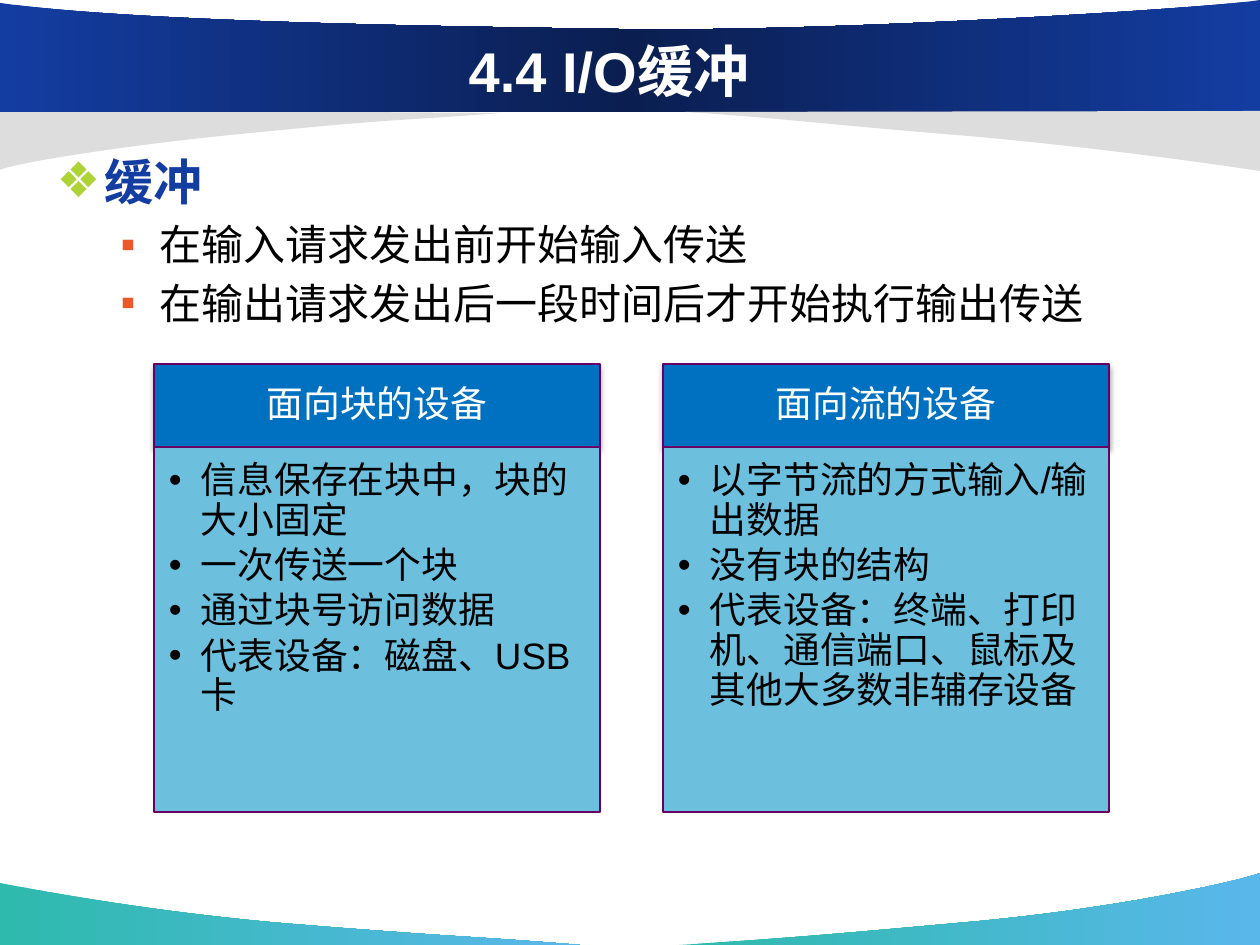
from copy import deepcopy
from lxml import etree
from pptx import Presentation
from pptx import util as u
from pptx.dml.color import RGBColor
from pptx.enum import shapes, text
from pptx.oxml.ns import qn

PX = 914400 / 126
WHITE = RGBColor(0xFF, 0xFF, 0xFF)
BLACK = RGBColor(0, 0, 0)
NAVY = RGBColor(0x14, 0x3D, 0xA2)
DEEP = RGBColor(0x0A, 0x1E, 0x50)
TEAL = RGBColor(0x2E, 0xBA, 0xAD)
SKY = RGBColor(0x5A, 0xB7, 0xEA)
GREY = RGBColor(0xDD, 0xDD, 0xDD)
LIME = RGBColor(0xAE, 0xD3, 0x37)
ORANGE = RGBColor(0xEB, 0x59, 0x2B)
HEAD = RGBColor(0, 0x70, 0xC0)
PANEL = RGBColor(0x6C, 0xC0, 0xDE)
PURPLE = RGBColor(0x66, 0, 0x66)


def px(*values):
    return [u.Emu(round(v * PX)) for v in values]


def add_text(p, words, size, color, bold=False, bullet=None, bullet_color=None, indent=(0, 0)):
    if bullet:
        pPr = p._p.get_or_add_pPr()
        left, first = px(*indent)
        pPr.set("marL", str(left))
        pPr.set("indent", str(first))
        clr = etree.SubElement(pPr, qn("a:buClr"))
        etree.SubElement(clr, qn("a:srgbClr"), val=str(bullet_color))
        etree.SubElement(pPr, qn("a:buFont"), typeface="Arial")
        etree.SubElement(pPr, qn("a:buChar"), char=bullet)
    r = p.add_run()
    r.text = words
    r.font.name = "Arial"
    r.font.size = u.Pt(size)
    r.font.bold = bold
    r.font.color.rgb = color


prs = Presentation()
prs.slide_width, prs.slide_height = px(1260, 945)
s = prs.slides.add_slide(prs.slide_layouts[1])
title, body = s.placeholders

waves = [
    ([TEAL, SKY], (580, 945), [(484, 937, 451, 937, 292, 924), (134, 911, 1, 883, 0, 883), (0, 945)]),
    ([TEAL, SKY], (679, 945), [(774, 939, 814, 936, 969, 922), (1124, 908, 1247, 879, 1260, 873), (1260, 945)]),
    ([GREY], (501, 113), [(417, 120, 401, 118, 262, 132), (122, 145, 11, 164, 0, 170), (0, 110)]),
    ([NAVY, DEEP, NAVY], (0, 112), [(1260, 112), (1260, 0), (1215, 8, 823, 33, 614, 29), (404, 26, 127, 21, 0, 3)]),
    ([GREY], (685, 112), [(781, 118, 809, 123, 968, 136), (1126, 150, 1259, 171, 1260, 171), (1260, 111)]),
]
for colors, start, segments in waves:
    fb = s.shapes.build_freeform(*px(*start))
    for seg in segments:
        fb.add_line_segments([px(*pt) for pt in zip(seg[::2], seg[1::2])], close=False)
    fb.add_line_segments([px(*start)], close=True)
    sp = fb.convert_to_shape()
    lines = iter(list(sp._element.iter(qn("a:lnTo"))))
    for seg in segments:
        step = next(lines)
        if len(seg) == 6:
            step.tag = qn("a:cubicBezTo")
            for _ in range(2):
                extra = next(lines)
                step.append(extra[0])
                extra.getparent().remove(extra)
    sp.shadow.inherit = False
    sp.line.fill.background()
    if len(colors) == 1:
        sp.fill.solid()
        sp.fill.fore_color.rgb = colors[0]
        continue
    sp.fill.gradient()
    sp.fill.gradient_angle = 0
    gsLst = sp._element.spPr.find(".//" + qn("a:gsLst"))
    for extra in colors[2:]:
        gsLst.append(deepcopy(gsLst[-1]))
    for i, (stop, color) in enumerate(zip(sp.fill.gradient_stops, colors)):
        stop.position = i / (len(colors) - 1)
        stop.color.rgb = color

for sp, box in ((title, (116, 31, 986, 78)), (body, (44, 145, 1160, 258))):
    s.shapes._spTree.append(sp._element)
    sp.left, sp.top, sp.width, sp.height = px(*box)
    sp.text_frame.word_wrap = True
    sp.text_frame.auto_size = text.MSO_AUTO_SIZE.NONE

title.text_frame.vertical_anchor = text.MSO_ANCHOR.MIDDLE
p = title.text_frame.paragraphs[0]
p.alignment = text.PP_ALIGN.CENTER
add_text(p, "4.4 I/O缓冲", 32, WHITE, True)

tf = body.text_frame
p = tf.paragraphs[0]
p.space_before = u.Pt(0)
add_text(p, "缓冲", 28, NAVY, True, "❖", LIME, (48, -48))
for words in ("在输入请求发出前开始输入传送", "在输出请求发出后一段时间后才开始执行输出传送"):
    p = tf.add_paragraph()
    p.level = 1
    p.space_before = u.Pt(4.8)
    add_text(p, words, 24, BLACK, False, "▪", ORANGE, (103, -39))

devices = [
    ("面向块的设备", ["信息保存在块中，块的大小固定", "一次传送一个块", "通过块号访问数据", "代表设备：磁盘、USB卡"]),
    ("面向流的设备", ["以字节流的方式输入/输出数据", "没有块的结构", "代表设备：终端、打印机、通信端口、鼠标及其他大多数非辅存设备"]),
]
for col, (heading, items) in enumerate(devices):
    left = 154 + col * 509
    parts = [
        (364, 83, HEAD, (20, 11, 20, 11), text.MSO_ANCHOR.MIDDLE, [heading]),
        (447, 365, PANEL, (15, 15, 20, 23), text.MSO_ANCHOR.TOP, items),
    ]
    for top, height, fill, insets, anchor, lines in parts:
        sp = s.shapes.add_shape(shapes.MSO_SHAPE.RECTANGLE, *px(left, top, 446, height))
        sp.shadow.inherit = False
        sp.fill.solid()
        sp.fill.fore_color.rgb = fill
        sp.line.color.rgb = PURPLE
        sp.line.width = u.Pt(0.75)
        tf = sp.text_frame
        tf.word_wrap = True
        tf.vertical_anchor = anchor
        tf.margin_left, tf.margin_top, tf.margin_right, tf.margin_bottom = px(*insets)
        for i, words in enumerate(lines):
            p = tf.paragraphs[0] if i == 0 else tf.add_paragraph()
            p.line_spacing = 0.9
            if fill == HEAD:
                p.alignment = text.PP_ALIGN.CENTER
                add_text(p, words, 21, WHITE)
            else:
                p.alignment = text.PP_ALIGN.LEFT
                p.level = 1
                p.space_after = u.Pt(3.2)
                add_text(p, words, 21, BLACK, False, "•", BLACK, (32, -32))
        if fill == HEAD:
            effects = sp._element.spPr.find(qn("a:effectLst"))
            shadow = etree.SubElement(effects, qn("a:outerShdw"), blurRad=str(u.Pt(3.1)),
                                      dist=str(u.Pt(1.8)), dir="5400000", rotWithShape="0")
            clr = etree.SubElement(shadow, qn("a:srgbClr"), val=str(BLACK))
            etree.SubElement(clr, qn("a:alpha"), val="35000")

prs.save("out.pptx")
